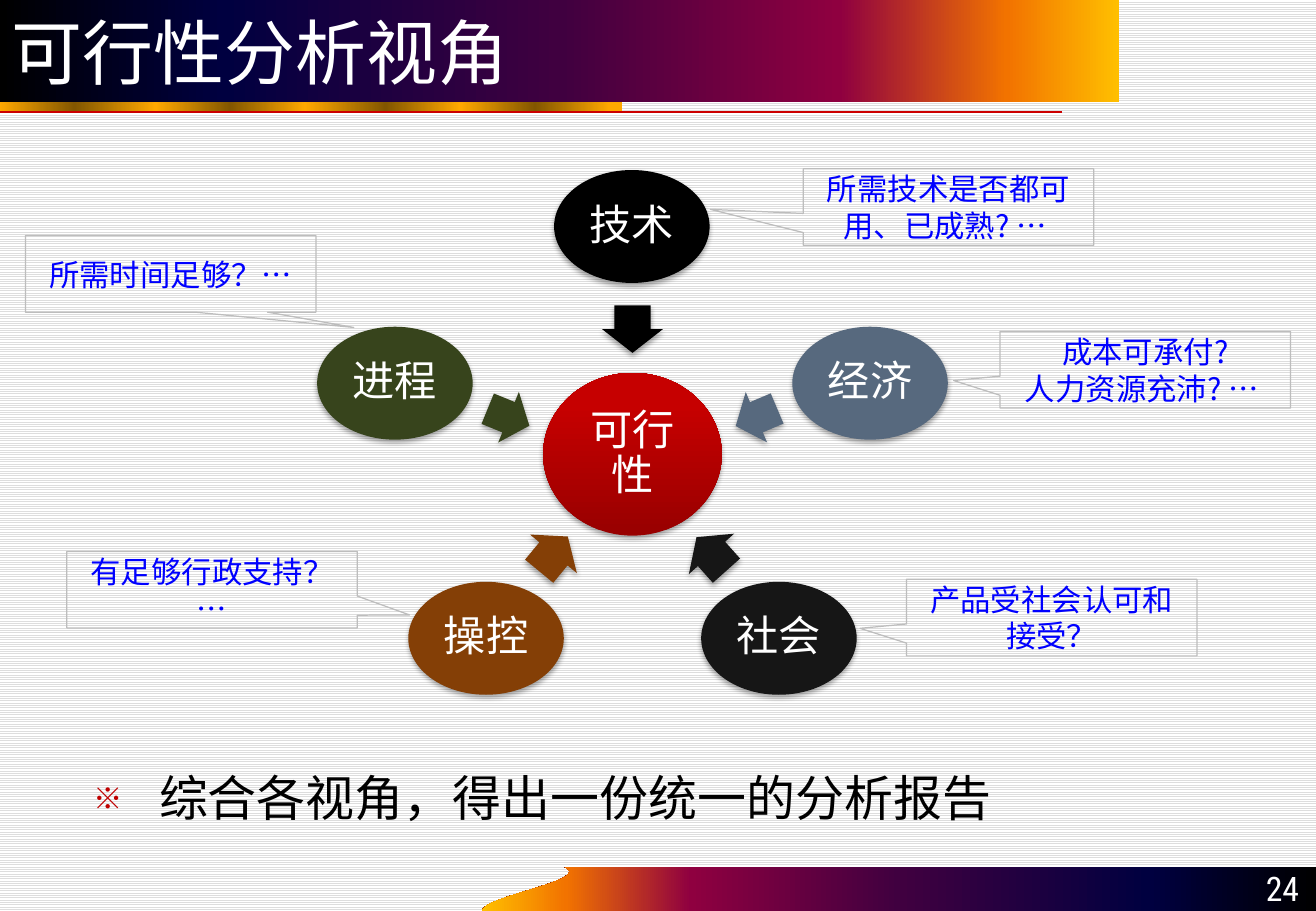
from lxml.etree import SubElement
from pptx import Presentation
from pptx.dml.color import RGBColor
from pptx.enum.dml import MSO_PATTERN
from pptx.enum.shapes import MSO_CONNECTOR, MSO_SHAPE
from pptx.enum.text import MSO_ANCHOR, PP_ALIGN
from pptx.oxml.ns import qn
from pptx.util import Pt

PX = 9144
CJK = "Noto Sans CJK SC"
rgb = RGBColor.from_string

prs = Presentation()
prs.slide_width, prs.slide_height = 1083 * PX, 750 * PX
s = prs.slides.add_slide(prs.slide_layouts[6])
bg = s.background.fill
bg.patterned()
bg.pattern = MSO_PATTERN.LIGHT_HORIZONTAL
bg.fore_color.rgb = rgb("DDDDDD")
bg.back_color.rgb = rgb("FFFFFF")


def paint(sp, stops, angle=0, shadow=False):
    sp.shadow.inherit = False
    sp.line.fill.background()
    if len(stops) == 1:
        sp.fill.solid()
        sp.fill.fore_color.rgb = rgb(stops[0][1])
    else:
        sp.fill.gradient()
        sp.fill.gradient_angle = angle
        gs_list = sp._element.spPr.find(".//" + qn("a:gsLst"))
        for gs in list(gs_list):
            gs_list.remove(gs)
        for pos, color in stops:
            gs = SubElement(gs_list, qn("a:gs"), pos=str(pos * 1000))
            SubElement(gs, qn("a:srgbClr"), val=color)
    if shadow:
        effects = sp._element.spPr.find(qn("a:effectLst"))
        outer = SubElement(effects, qn("a:outerShdw"), blurRad=str(Pt(3.1)),
                           dist=str(Pt(1.8)), dir="5400000", rotWithShape="0")
        black = SubElement(outer, qn("a:srgbClr"), val="000000")
        SubElement(black, qn("a:alpha"), val="35000")


def write(sp, text, size, color, font=CJK, align=PP_ALIGN.CENTER,
          anchor=MSO_ANCHOR.MIDDLE, inset=(10, 5), spacing=None):
    tf = sp.text_frame
    tf.text = text
    tf.word_wrap = True
    tf.vertical_anchor = anchor
    tf.margin_left = tf.margin_right = inset[0] * PX
    tf.margin_top = tf.margin_bottom = inset[1] * PX
    p = tf.paragraphs[0]
    p.alignment = align
    p.line_spacing = spacing
    for r in p.runs:
        r.font.size = Pt(size)
        r.font.name = font
        r.font.color.rgb = rgb(color)
        SubElement(r.font._element, qn("a:ea"), typeface=font)
    return p


sunset = [(0, "000000"), (20, "000040"), (50, "400040"),
          (75, "8F0040"), (90, "F27300"), (100, "FFBF00")]
gold = [(round(12.3 * i), ("FFA800", "825600")[i % 2]) for i in range(9)]

curve = [(397, 750), (397, 738), (487, 725), (465, 714)]
points = []
for i in range(25):
    t = i / 24
    weights = ((1 - t) ** 3, 3 * t * (1 - t) ** 2, 3 * t * t * (1 - t), t ** 3)
    points.append([round(PX * sum(w * c[k] for w, c in zip(weights, curve)))
                   for k in (0, 1)])
points += [(1083 * PX, 714 * PX), (1083 * PX, 750 * PX)]
fb = s.shapes.build_freeform(*points[0], scale=1.0)
fb.add_line_segments(points[1:], close=True)
paint(fb.convert_to_shape(), sunset, 180)

band = s.shapes.add_shape(MSO_SHAPE.RECTANGLE, 0, 76 * PX, 512 * PX, 16 * PX)
paint(band, gold)
rule = s.shapes.add_connector(MSO_CONNECTOR.STRAIGHT, 0, 92 * PX, 874 * PX, 92 * PX)
rule.line.color.rgb = rgb("CC0000")
rule.line.width = Pt(1)
SubElement(rule._element.spPr, qn("a:effectLst"))

title = s.shapes.add_shape(MSO_SHAPE.RECTANGLE, 0, 0, 921 * PX, 84 * PX)
paint(title, sunset)
write(title, "可行性分析视角", 42, "FFFFFF", "DejaVu Sans", PP_ALIGN.LEFT)

body = s.shapes.add_textbox(67 * PX, 627 * PX, 948 * PX, 87 * PX)
p = write(body, "综合各视角，得出一份统一的分析报告", 29, "000000",
          align=PP_ALIGN.LEFT, anchor=MSO_ANCHOR.TOP)
pPr = p._p.get_or_add_pPr()
pPr.set("marL", str(54 * PX))
pPr.set("indent", str(-54 * PX))
SubElement(SubElement(pPr, qn("a:buClr")), qn("a:srgbClr"), val="C00000")
SubElement(pPr, qn("a:buSzPct"), val="60000")
SubElement(pPr, qn("a:buFont"), typeface=CJK)
SubElement(pPr, qn("a:buChar"), char="※")

number = s.shapes.add_textbox(983 * PX, 713 * PX, 96 * PX, 40 * PX)
write(number, "24", 20, "FFFFFF", "Roboto Condensed", PP_ALIGN.RIGHT, MSO_ANCHOR.BOTTOM)

hub = s.shapes.add_shape(MSO_SHAPE.OVAL, 447 * PX, 307 * PX, 147 * PX, 134 * PX)
paint(hub, [(0, "980000"), (80, "C60000"), (100, "C70000")], 90, shadow=True)
write(hub, "可行性", 25, "FFFFFF", inset=(3, 3), spacing=0.9)

views = [
    ("技术", "000000", 456, 140, (501, 246, 39, 50), 90),
    ("经济", "57697E", 652, 269, (604, 321, 37, 45), 157),
    ("社会", "161616", 577, 479, (567, 431, 37, 50), 228.2),
    ("操控", "843F06", 336, 479, (437, 431, 37, 50), 309.5),
    ("进程", "37441C", 261, 269, (400, 321, 37, 45), 22.2),
]
for name, color, x, y, box, angle in views:
    arrow = s.shapes.add_shape(MSO_SHAPE.RIGHT_ARROW, *(v * PX for v in box))
    arrow.adjustments[0], arrow.adjustments[1] = 0.6, 0.5
    arrow.rotation = angle
    paint(arrow, [(0, color)], shadow=True)
    oval = s.shapes.add_shape(MSO_SHAPE.OVAL, x * PX, y * PX, 128 * PX, 93 * PX)
    paint(oval, [(0, color)], shadow=True)
    write(oval, name, 25, "FFFFFF", inset=(2, 2), spacing=0.9)

questions = [
    ("所需技术是否都可用、已成熟? … ", 661, 139, -0.82, 0.03),
    ("成本可承付?\v人力资源充沛? … ", 823, 273, -0.66, 0.14),
    ("产品受社会认可和接受？", 746, 477, -0.66, 0.14),
    ("有足够行政支持？…", 55, 454, 0.68, 0.33),
    ("所需时间足够？…", 21, 194, 0.63, 0.7),
]
for text, x, y, tip_x, tip_y in questions:
    sp = s.shapes.add_shape(MSO_SHAPE.RECTANGULAR_CALLOUT, x * PX, y * PX, 239 * PX, 63 * PX)
    sp.adjustments[0], sp.adjustments[1] = tip_x, tip_y
    sp.shadow.inherit = False
    sp.fill.background()
    sp.line.color.rgb = rgb("BDBDBD")
    sp.line.width = Pt(0.75)
    write(sp, text, 18, "0000FF")

prs.save("out.pptx")
